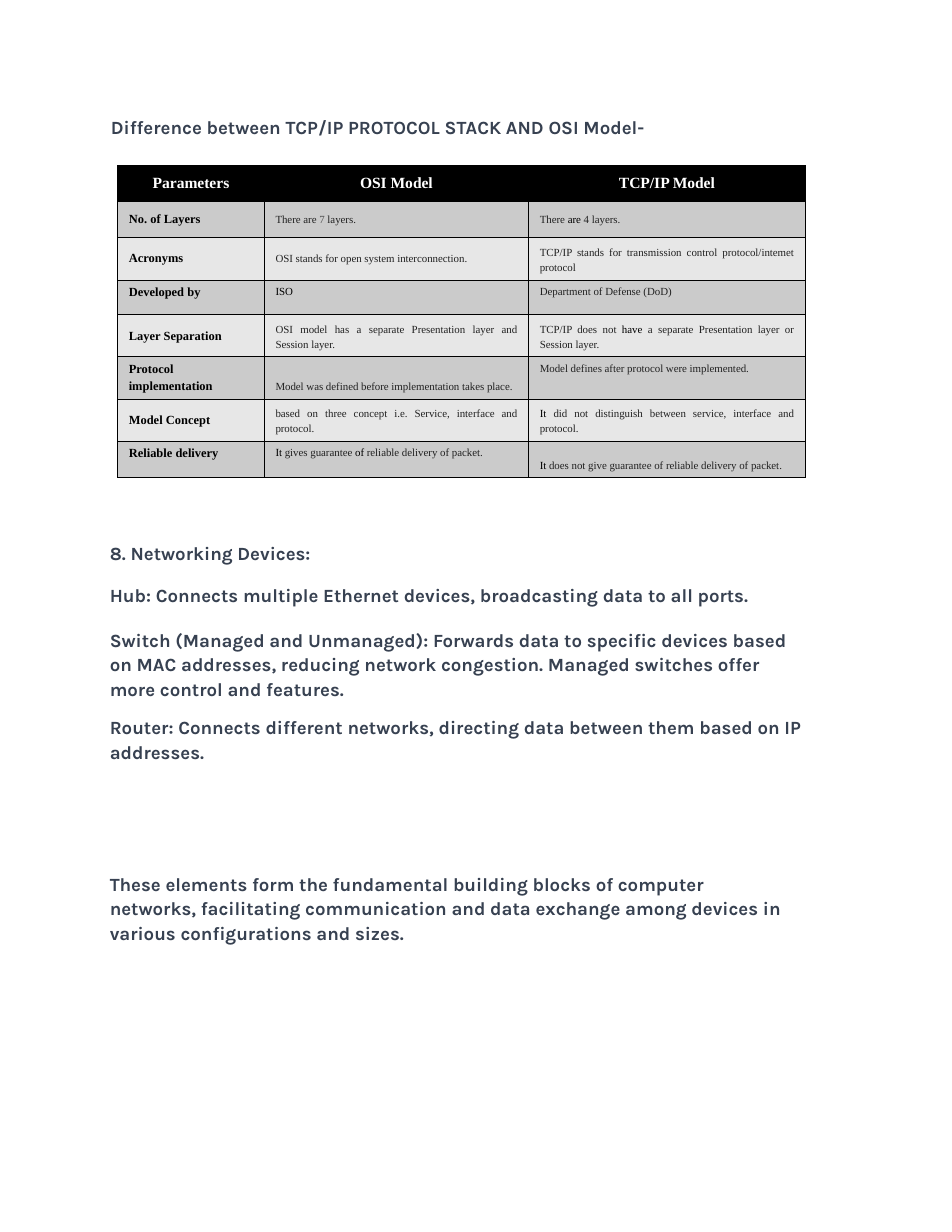
from lxml import etree
from pptx import Presentation
from pptx.dml.color import RGBColor
from pptx.enum.text import MSO_ANCHOR, MSO_AUTO_SIZE, PP_ALIGN
from pptx.oxml.ns import qn
from pptx.util import Inches, Pt

LEFT, CENTER, JUST = PP_ALIGN.LEFT, PP_ALIGN.CENTER, PP_ALIGN.JUSTIFY
TOP, MID, LOW = MSO_ANCHOR.TOP, MSO_ANCHOR.MIDDLE, MSO_ANCHOR.BOTTOM
FIXED = MSO_AUTO_SIZE.NONE
SLATE, BLACK, WHITE = "374151", "000000", "FFFFFF"
INK, GRAY = "222222", "515151"
BANDS = ("CBCBCB", "E7E7E7")

WIDTHS = (1.31, 2.36, 2.47)
HEIGHTS = (0.32, 0.32, 0.34, 0.31, 0.34, 0.35, 0.33, 0.33)
HEADS = ("Parameters", "OSI Model", "TCP/IP Model")
# Each cell: anchor, exact line spacing in points, then its runs.
ROWS = [
    ((MID, "No. of Layers"),
     (MID, None, ("There are ", INK), ("7 ", GRAY), ("layers.", INK)),
     (MID, None, ("There ", INK), ("are ", BLACK), ("4 layers.", INK))),
    ((MID, "Acronyms"),
     (MID, None, ("OSI stands for open system interconnection.", INK)),
     (LOW, 10.1, ("TCP/IP stands for transmission control "
                  "protocol/intemet protocol", INK))),
    ((TOP, "Developed by"),
     (TOP, None, ("ISO", BLACK)),
     (TOP, None, ("Department of Defense (DoD)", INK))),
    ((MID, "Layer Separation"),
     (LOW, 9.9, ("OSI model has a separate Presentation layer and "
                 "Session layer.", INK)),
     (LOW, 9.9, ("TCP/IP does not ", INK), ("have ", BLACK),
      ("a separate Presentation layer or Session layer.", INK))),
    ((LOW, "Protocol", "implementation"),
     (LOW, 10.1, ("Model was defined before implementation takes place.",
                  INK)),
     (TOP, None, ("Model defines after protocol were implemented.", INK))),
    ((MID, "Model Concept"),
     (LOW, 9.9, ("based on three concept i.e. Service, interface and "
                 "protocol.", INK)),
     (LOW, 9.9, ("It ", BLACK),
      ("did not distinguish between service, interface and protocol.",
       INK))),
    ((TOP, "Reliable delivery"),
     (TOP, None, ("It ", BLACK), ("gives guarantee ", INK), ("of ", BLACK),
      ("reliable delivery of packet.", INK)),
     (LOW, 9.9, ("It ", BLACK),
      ("does not give guarantee of reliable delivery of packet.", INK))),
]

# Each paragraph: text, exact line spacing, space after.
DEVICES = [
    ("8. Networking Devices:", None, 12.6),
    ("Hub: Connects multiple Ethernet devices, broadcasting data to all "
     "ports.", None, 12.6),
    ("Switch (Managed and Unmanaged): Forwards data to specific devices "
     "based on MAC addresses, reducing network congestion. Managed switches "
     "offer more control and features.", 15.9, 8.4),
    ("Router: Connects different networks, directing data between them "
     "based on IP addresses.", 16.1, 0),
]
CLOSING = [
    ("These elements form the fundamental building blocks of computer "
     "networks, facilitating communication and data exchange among devices "
     "in various configurations and sizes.", 15.9, 0),
]
HEADING = [("Difference between TCP/IP PROTOCOL STACK AND OSI Model-", None, 0)]


def color(text):
    return RGBColor.from_string(text)


def add_run(para, text, size, ink, bold=True, font="Times New Roman"):
    run = para.add_run()
    run.text = text
    run.font.size, run.font.bold, run.font.name = Pt(size), bold, font
    run.font.color.rgb = color(ink)


def get_para(frame, index):
    return frame.add_paragraph() if index else frame.paragraphs[0]


def fill_prose(shape, box, paras, wrap=True):
    """Place a shape and set its paragraphs as plain slate text."""
    shape.left, shape.top, shape.width, shape.height = map(Inches, box)
    frame = shape.text_frame
    frame.margin_left = frame.margin_right = 0
    frame.margin_top = frame.margin_bottom = 0
    frame.word_wrap, frame.auto_size = wrap, FIXED
    frame.vertical_anchor = TOP
    for i, (text, line, after) in enumerate(paras):
        para = get_para(frame, i)
        para.alignment = LEFT
        para.space_before, para.space_after = Pt(0), Pt(after)
        para.line_spacing = Pt(line) if line else 1.0
        props = para._p.get_or_add_pPr()
        props.set("marL", "0")
        props.set("indent", "0")
        etree.SubElement(props, qn("a:buNone"))
        add_run(para, text, 12, SLATE, font="Karla")


def style_cell(cell, fill, anchor):
    """Give a cell thin black borders, a fill and an anchor."""
    props = cell._tc.get_or_add_tcPr()
    for side in ("lnL", "lnR", "lnT", "lnB"):
        line = etree.SubElement(props, qn("a:" + side), w=str(Pt(0.45)))
        solid = etree.SubElement(line, qn("a:solidFill"))
        etree.SubElement(solid, qn("a:srgbClr"), val=BLACK)
    cell.fill.solid()
    cell.fill.fore_color.rgb = color(fill)
    cell.vertical_anchor = anchor


def fill_label(cell, fill, anchor, *lines):
    style_cell(cell, fill, anchor)
    for i, text in enumerate(lines):
        para = get_para(cell.text_frame, i)
        if i < len(lines) - 1:
            para.space_after = Pt(2.1)
        add_run(para, text, 8, BLACK)


def fill_fact(cell, fill, anchor, line, *runs):
    style_cell(cell, fill, anchor)
    para = cell.text_frame.paragraphs[0]
    para.alignment = JUST
    if line:
        para.line_spacing = Pt(line)
    for text, ink in runs:
        add_run(para, text, 7, ink, bold=False)


def add_models(slide, box):
    """Add the table that compares the two models."""
    table = slide.shapes.add_table(
        len(HEIGHTS), len(WIDTHS), *map(Inches, box)).table
    for col, width in zip(table.columns, WIDTHS):
        col.width = Inches(width)
    for row, height in zip(table.rows, HEIGHTS):
        row.height = Inches(height)
    for c, text in enumerate(HEADS):
        cell = table.cell(0, c)
        style_cell(cell, BLACK, MID)
        para = cell.text_frame.paragraphs[0]
        para.alignment = CENTER
        add_run(para, text, 10, WHITE)
    for r, (label, *facts) in enumerate(ROWS):
        fill = BANDS[r % 2]
        fill_label(table.cell(r + 1, 0), fill, *label)
        for c, fact in enumerate(facts, 1):
            fill_fact(table.cell(r + 1, c), fill, *fact)


def main():
    deck = Presentation()
    deck.slide_width, deck.slide_height = Inches(8.5), Inches(11)
    slide = deck.slides.add_slide(deck.slide_layouts[1])
    title, body = slide.placeholders
    fill_prose(title, (0.99, 1.03, 4.97, 0.18), HEADING, wrap=False)
    add_models(slide, (1.05, 1.48, sum(WIDTHS), sum(HEIGHTS)))
    fill_prose(body, (0.98, 4.84, 6.21, 2.12), DEVICES)
    box = (0.98, 7.77, 6.09, 0.65)
    fill_prose(slide.shapes.add_textbox(*map(Inches, box)), box, CLOSING)
    deck.save("out.pptx")


if __name__ == "__main__":
    main()
